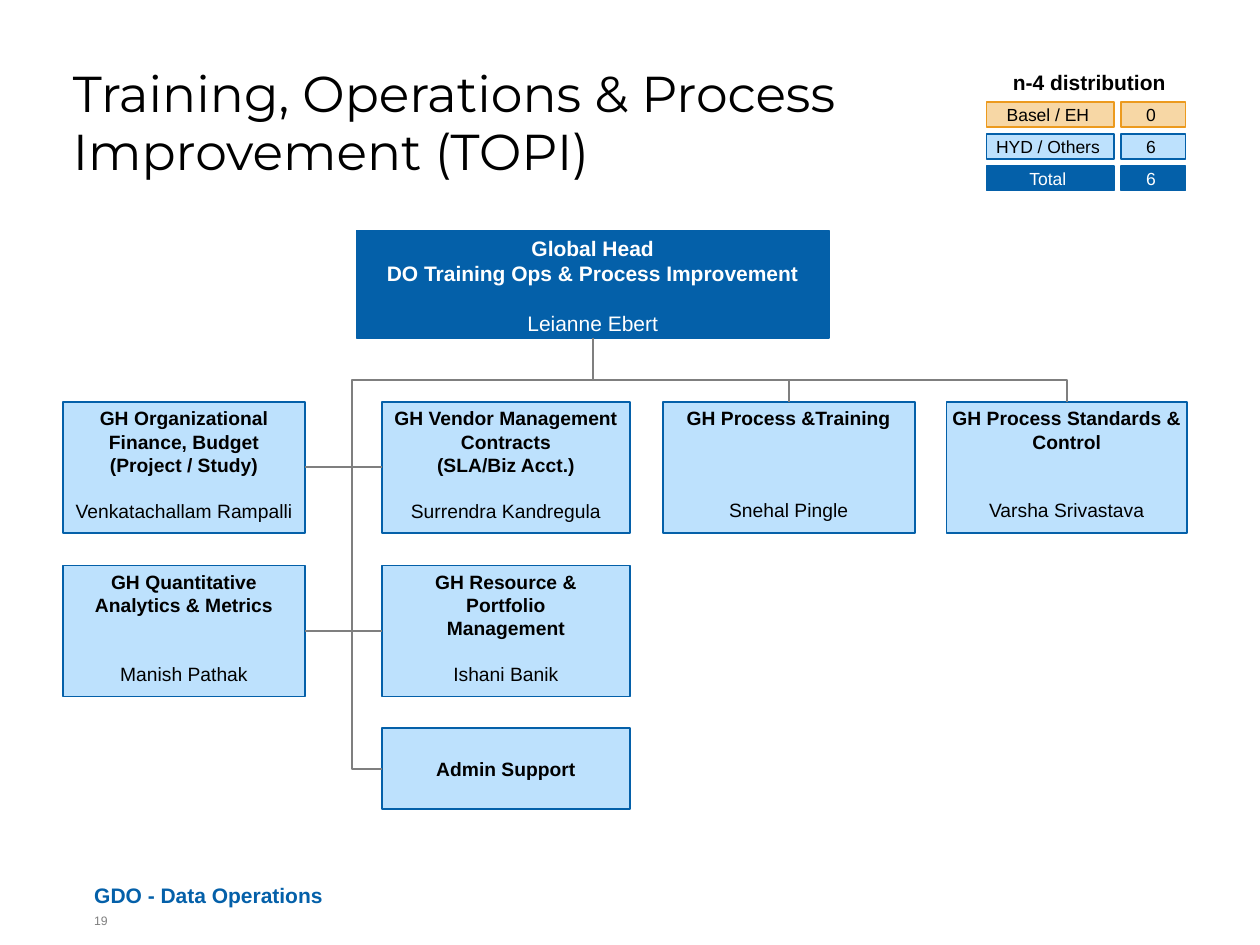
from copy import deepcopy
from dataclasses import dataclass

from lxml import etree
from pptx import Presentation
from pptx import util as u
from pptx.dml.color import RGBColor
from pptx.enum import shapes, text
from pptx.oxml.ns import qn

TOP, LEFT, BOTTOM, RIGHT = range(4)
MID = text.MSO_ANCHOR.MIDDLE
HIGH = text.MSO_ANCHOR.TOP


@dataclass(frozen=True)
class Theme:
    font: str = "Arial"
    head: str = "Montserrat"
    navy: str = "0460A9"
    sky: str = "BDE1FD"
    sand: str = "F7D7A5"
    gold: str = "EC9A1E"
    gray: str = "7F7F7F"
    black: str = "000000"
    white: str = "FFFFFF"
    title: float = 28.8
    large: float = 12
    card: float = 11
    small: float = 10
    tiny: float = 7


class Deck:
    def __init__(self, look):
        self.look = look
        self.prs = Presentation()
        self.prs.slide_width, self.prs.slide_height = u.Cm(25.4), u.Cm(19.05)
        self.page = self.prs.slides.add_slide(self.prs.slide_layouts[5])

    def frame(self, box, pads, anchor):
        """Set insets (left, top, right, bottom), wrap and anchor."""
        tf = box.text_frame
        sides = ("left", "top", "right", "bottom")
        form = {f"margin_{s}": u.Cm(p) for s, p in zip(sides, pads)}
        form |= {"word_wrap": True, "vertical_anchor": anchor,
                 "auto_size": text.MSO_AUTO_SIZE.NONE}
        for key, val in form.items():
            setattr(tf, key, val)
        return tf

    def style(self, para, words, size, color, bold=False, font=None,
              align=text.PP_ALIGN.LEFT):
        para.text = words
        para.alignment = align
        form = {"name": font or self.look.font, "size": u.Pt(size), "bold": bold}
        for run in para.runs:
            for key, val in form.items():
                setattr(run.font, key, val)
            run.font.color.rgb = RGBColor.from_string(color)
        # Line breaks take the size of the text around them
        for gap in para._p.findall(qn("a:br")):
            gap.append(deepcopy(para.runs[0]._r.rPr))

    def title(self, area, words):
        box = self.page.shapes.title
        for key, val in zip(("left", "top", "width", "height"), area):
            setattr(box, key, u.Cm(val))
        para = self.frame(box, (0, 0, 0, 0), HIGH).paragraphs[0]
        self.style(para, words, self.look.title, self.look.black,
                   font=self.look.head)
        para.line_spacing = 0.95

    def label(self, area, words, size, color, bold=False, anchor=HIGH):
        box = self.page.shapes.add_textbox(*map(u.Cm, area))
        tf = self.frame(box, (0, 0, 0, 0), anchor)
        self.style(tf.paragraphs[0], words, size, color, bold)

    def block(self, area, fill, edge):
        box = self.page.shapes.add_shape(
            shapes.MSO_SHAPE.RECTANGLE, *map(u.Cm, area))
        box.shadow.inherit = False
        box.fill.solid()
        box.fill.fore_color.rgb = RGBColor.from_string(fill)
        box.line.color.rgb = RGBColor.from_string(edge)
        box.line.width = u.Pt(1)
        return box

    def card(self, area, role, name="", gap=0, size=None, fill=None,
             color=None, anchor=HIGH):
        """Box with a bold role and, gap points below it, a name."""
        look = self.look
        size, color = size or look.card, color or look.black
        box = self.block(area, fill or look.sky, look.navy)
        tf = self.frame(box, (0.1, 0.1, 0.1, 0.1), anchor)
        mid = text.PP_ALIGN.CENTER
        self.style(tf.paragraphs[0], role, size, color, True, align=mid)
        if name:
            para = tf.add_paragraph()
            self.style(para, name, size, color, align=mid)
            para.space_before = u.Pt(gap)
        return box

    def tag(self, area, words, fill, edge, color):
        box = self.block(area, fill, edge)
        para = self.frame(box, (0, 0, 0.1, 0), MID).paragraphs[0]
        self.style(para, words, self.look.small, color,
                   align=text.PP_ALIGN.CENTER)

    def join(self, start, side, end, goal, kind=shapes.MSO_CONNECTOR.STRAIGHT):
        line = self.page.shapes.add_connector(kind, 0, 0, 0, 0)
        line.begin_connect(start, side)
        line.end_connect(end, goal)
        line.line.color.rgb = RGBColor.from_string(self.look.gray)
        line.line.width = u.Pt(1)
        etree.SubElement(line._element.spPr, qn("a:effectLst"))
        return line

    def bend(self, start, side, end, goal, area, turn, preset, adjust):
        """Elbow joined at both ends, turned by degrees and mirrored."""
        line = self.join(start, side, end, goal, shapes.MSO_CONNECTOR.ELBOW)
        for key, val in zip(("left", "top", "width", "height"), area):
            setattr(line, key, u.Cm(val))
        props = line._element.spPr
        xfrm = props.find(qn("a:xfrm"))
        xfrm.attrib.pop("flipV", None)
        xfrm.set("rot", str(turn * 60000))
        xfrm.set("flipH", "1")
        geom = props.find(qn("a:prstGeom"))
        geom.set("prst", preset)
        vals = geom.find(qn("a:avLst"))
        for num, part in enumerate(adjust, 1):
            etree.SubElement(vals, qn("a:gd"), name=f"adj{num}",
                             fmla=f"val {round(part * 100000)}")


def main():
    look = Theme()
    deck = Deck(look)
    deck.title((1.47, 1.35, 17.58, 2.46),
               "Training, Operations & Process Improvement (TOPI)")

    # Distribution key
    deck.label((20.42, 1.4, 3.7, 0.6), "n-4 distribution", look.large,
               look.black, True)
    rows = [("Basel / EH", "0", look.sand, look.gold, look.black),
            ("HYD / Others", "6", look.sky, look.navy, look.black),
            ("Total", "6", look.navy, look.navy, look.white)]
    for num, (name, count, *tones) in enumerate(rows):
        y = 2.06 + 0.64 * num
        deck.tag((19.89, y, 2.57, 0.5), name, *tones)
        deck.tag((22.6, y, 1.3, 0.5), count, *tones)

    # Head of the group
    head = deck.card((7.19, 4.65, 9.52, 2.16),
                     "Global Head\nDO Training Ops & Process Improvement",
                     "Leianne Ebert", 14, look.large, look.navy, look.white)

    # Team cards: column, row, role, name, blank lines between
    cols = [(1.27, 4.88), (7.7, 5), (13.36, 5.08), (19.08, 4.85)]
    tops, tall, step = (8.1, 11.4), 2.64, 13
    team = [
        (0, 0, "GH Organizational Finance, Budget\n(Project / Study)",
         "Venkatachallam Rampalli", 1),
        (1, 0, "GH Vendor Management Contracts\n(SLA/Biz Acct.)",
         "Surrendra Kandregula", 1),
        (2, 0, "GH Process &Training", "Snehal Pingle", 3),
        (3, 0, "GH Process Standards & Control", "Varsha Srivastava", 2),
        (0, 1, "GH Quantitative\nAnalytics & Metrics", "Manish Pathak", 2),
        (1, 1, "GH Resource &\nPortfolio\nManagement", "Ishani Banik", 1),
    ]
    cards = {}
    for col, row, role, name, skip in team:
        x, wide = cols[col]
        cards[col, row] = deck.card((x, tops[row], wide, tall), role, name,
                                    skip * step)
    x, wide = cols[1]
    admin = deck.card((x, 14.68, wide, 1.63), "Admin Support", anchor=MID)

    # Links between neighbours
    for row in range(len(tops)):
        deck.join(cards[0, row], RIGHT, cards[1, row], LEFT)

    # Trunk from the support card up and over to the third column
    goal = cols[2][0] + cols[2][1] / 2
    base, rail, trunk = 14.68 + 1.63 / 2, 7.66, 7.09
    wide, high = goal - x, base - tops[0]
    deck.bend(admin, LEFT, cards[2, 0], TOP, (x, tops[0], wide, high), 180,
              "bentConnector4", ((trunk - x) / wide, (base - rail) / high))

    # Branch from the head to the fourth column
    start, foot = 7.19 + 9.52 / 2, 4.65 + 2.16
    goal = cols[3][0] + cols[3][1] / 2
    drop, span = tops[0] - foot, goal - start
    area = ((start + goal - drop) / 2, (foot + tops[0] - span) / 2, drop, span)
    deck.bend(head, BOTTOM, cards[3, 0], TOP, area, 270, "bentConnector3",
              ((rail - foot) / drop,))

    # Footer
    deck.label((1.9, 17.65, 16.5, 0.64), "GDO - Data Operations", look.large,
               look.navy, True, text.MSO_ANCHOR.BOTTOM)
    deck.label((1.9, 18.42, 0.64, 0.63), "19", look.tiny, look.gray)

    deck.prs.save("out.pptx")


if __name__ == "__main__":
    main()
